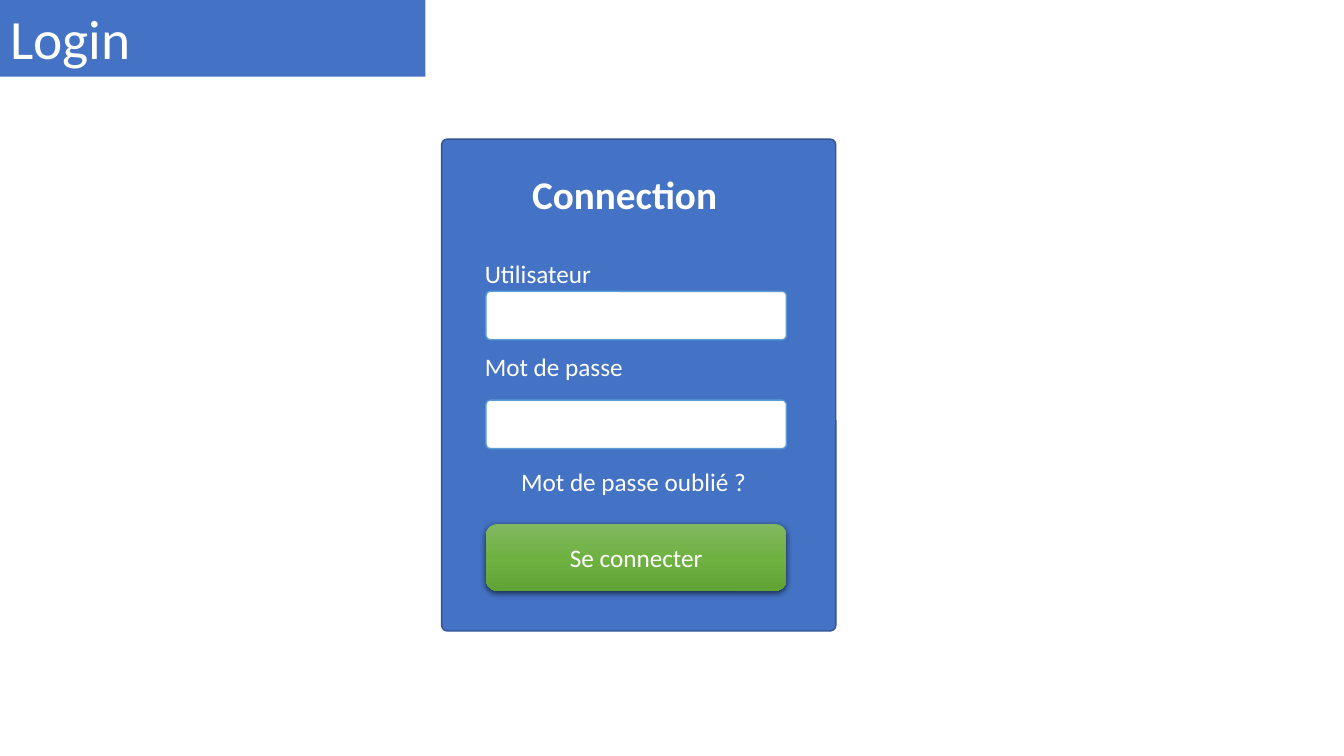
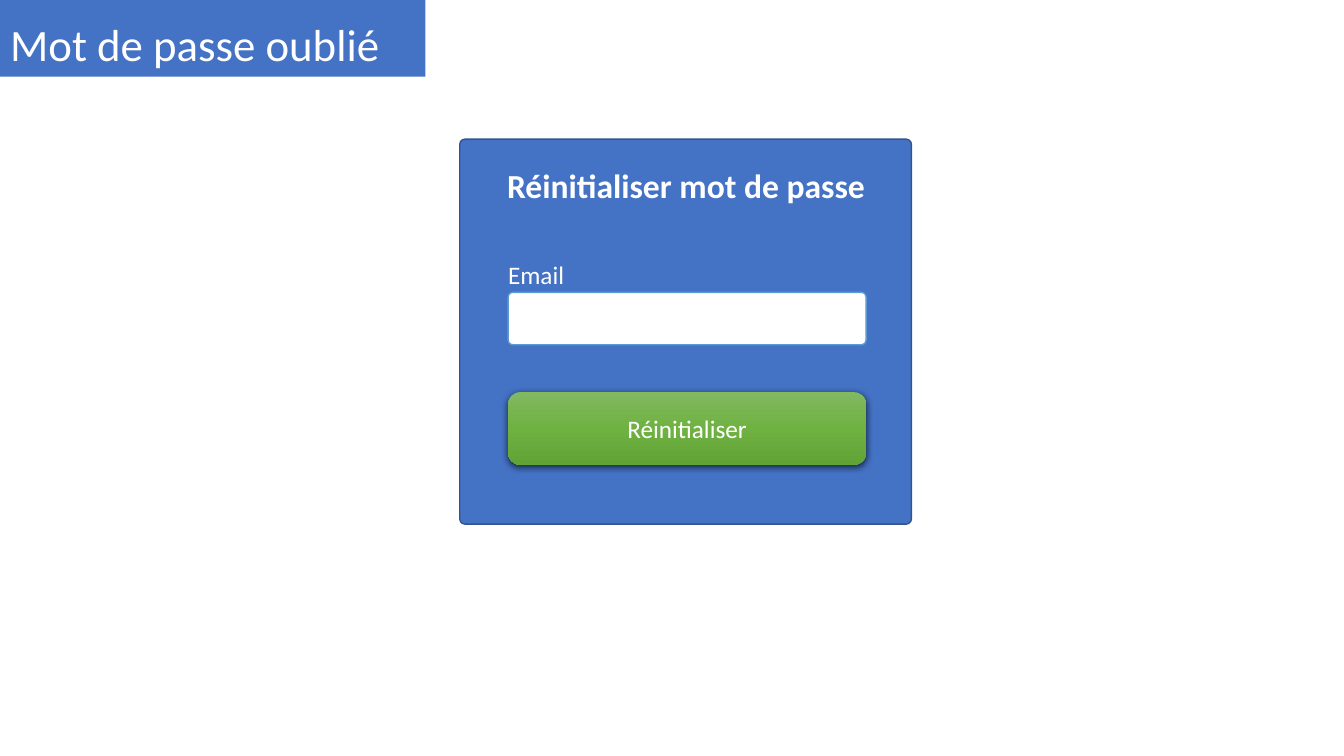
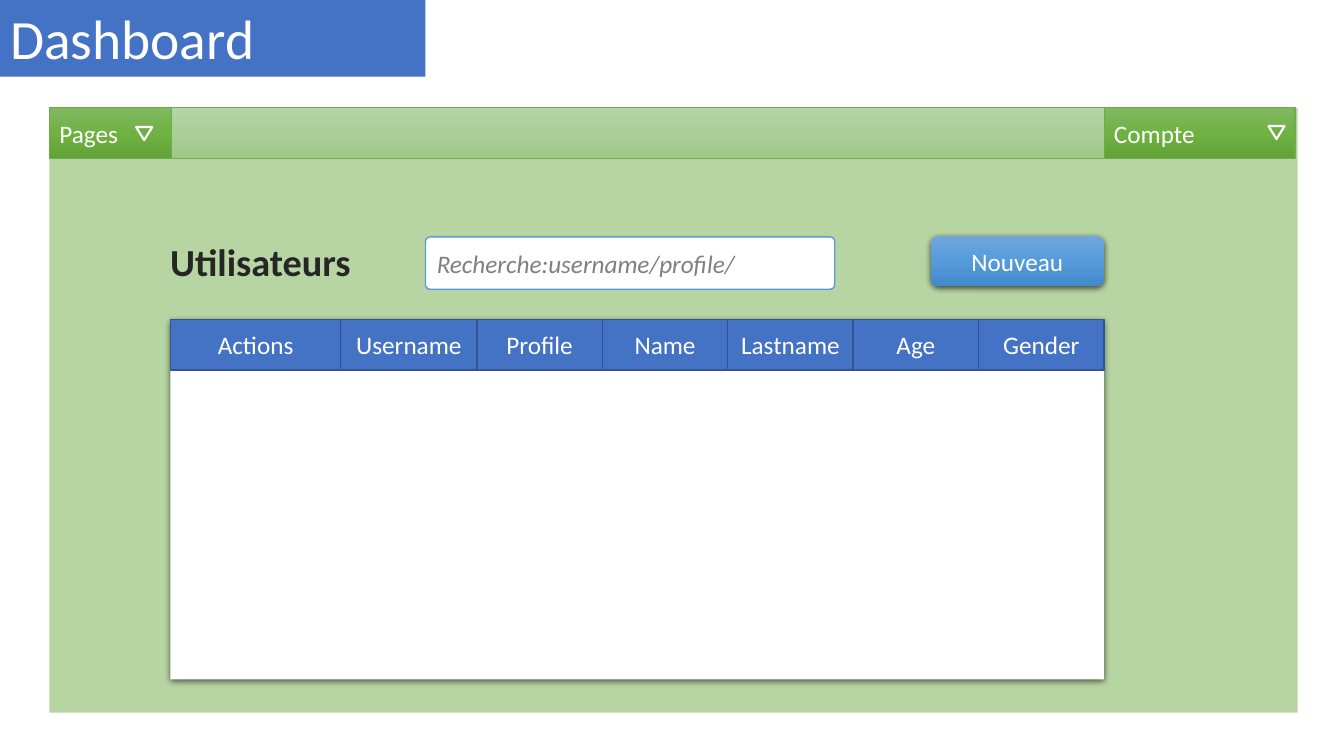
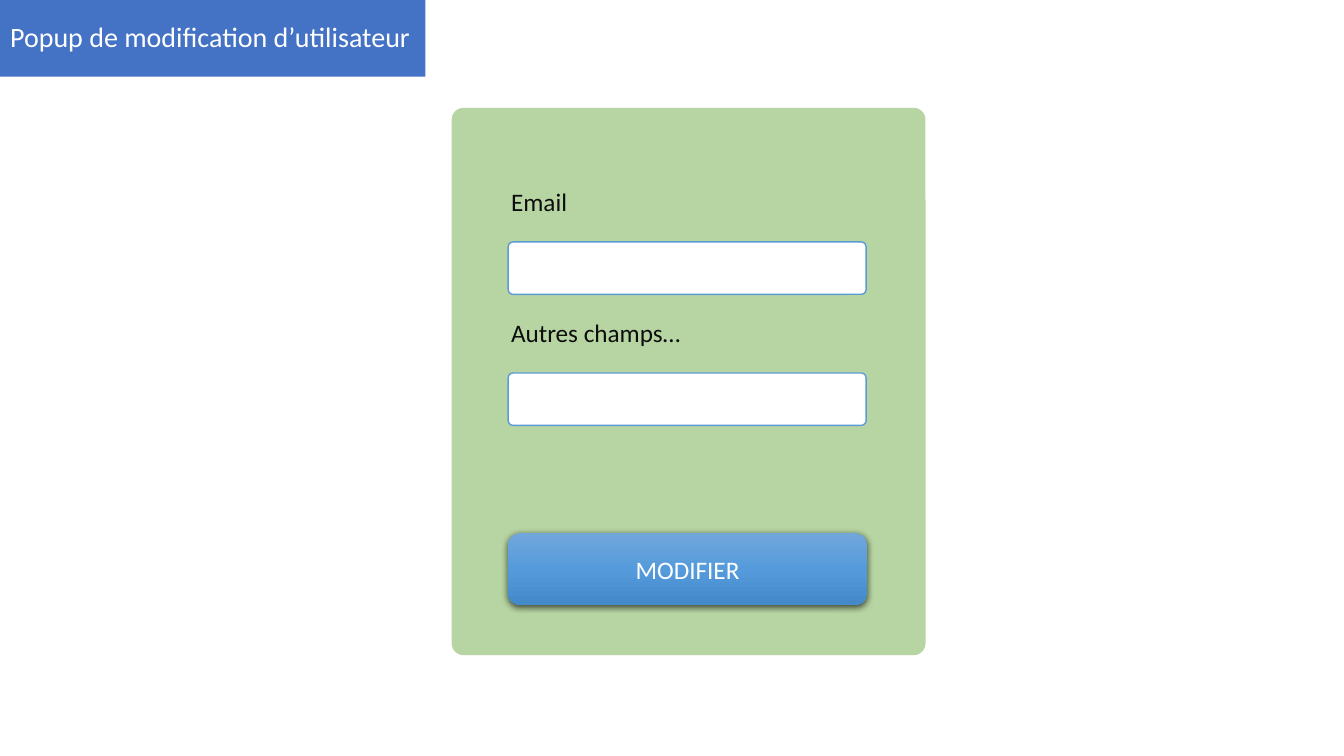
from copy import deepcopy

from lxml import etree
from pptx import Presentation
from pptx.dml.color import RGBColor
from pptx.enum.shapes import MSO_SHAPE
from pptx.enum.text import MSO_ANCHOR, MSO_AUTO_SIZE, PP_ALIGN
from pptx.oxml.ns import qn
from pptx.util import Inches, Pt

RECTANGLE = MSO_SHAPE.RECTANGLE
ROUNDED = MSO_SHAPE.ROUNDED_RECTANGLE
TRIANGLE = MSO_SHAPE.ISOSCELES_TRIANGLE
LEFT, CENTER = PP_ALIGN.LEFT, PP_ALIGN.CENTER
MIDDLE, BOTTOM, TOP = MSO_ANCHOR.MIDDLE, MSO_ANCHOR.BOTTOM, MSO_ANCHOR.TOP
NO_AUTOFIT, GROW = MSO_AUTO_SIZE.NONE, MSO_AUTO_SIZE.SHAPE_TO_FIT_TEXT

TITLE_ONLY_LAYOUT = 5
FONT = "Calibri"
COLORS = {
    "white": "FFFFFF",
    "black": "000000",
    "blue": "4472C4",
    "blue_edge": "325491",
    "field_edge": "5B9BD5",
    "green": "70AD47",
    "heading": "262626",
    "label": "0D0D0D",
    "hint": "808080",
}
GRADIENTS = {
    "green": ("81B861", "6FB242", "62A336"),
    "pale_green": ("B5D5A7", "AACE9A", "9CC987"),
    "blue": ("71A6DB", "559BDB", "448ACA"),
}


def color(name):
    return RGBColor.from_string(COLORS[name])


class Mockup:
    """Holds the style and the slide being drawn."""

    def __init__(self):
        self.presentation = Presentation()
        self.presentation.slide_width = Inches(13.33)
        self.presentation.slide_height = Inches(7.5)
        self.slide = None

    def new_slide(self, title, size, anchor=BOTTOM):
        layout = self.presentation.slide_layouts[TITLE_ONLY_LAYOUT]
        self.slide = self.presentation.slides.add_slide(layout)
        shape = self.slide.shapes.title
        shape.left, shape.top = Inches(0), Inches(0)
        shape.width, shape.height = Inches(4.22), Inches(0.76)
        shape.fill.solid()
        shape.fill.fore_color.rgb = color("blue")
        self.set_text(shape, title, size, anchor=anchor, spacing=0.9)

    def set_text(self, shape, text, size=18, ink="white", bold=False, italic=False,
                 align=LEFT, anchor=MIDDLE, spacing=None, wrap=True, fit=NO_AUTOFIT):
        frame = shape.text_frame
        frame.text = text
        frame.word_wrap = wrap
        frame.auto_size = fit
        frame.vertical_anchor = anchor
        paragraph = frame.paragraphs[0]
        paragraph.alignment = align
        paragraph.line_spacing = spacing
        font = paragraph.runs[0].font
        font.name, font.size = FONT, Pt(size)
        font.bold, font.italic = bold, italic
        font.color.rgb = color(ink)

    def box(self, left, top, width, height, kind=RECTANGLE, fill="white",
            gradient=None, line=None, line_width=1, radius=None):
        shape = self.slide.shapes.add_shape(
            kind, Inches(left), Inches(top), Inches(width), Inches(height))
        shape.shadow.inherit = False
        if radius is not None:
            shape.adjustments[0] = radius
        if gradient:
            self.shade(shape, GRADIENTS[gradient])
        else:
            shape.fill.solid()
            shape.fill.fore_color.rgb = color(fill)
        if line:
            shape.line.color.rgb = color(line)
            shape.line.width = Pt(line_width)
        else:
            shape.line.fill.background()
        return shape

    def shade(self, shape, stops):
        """Vertical gradient with evenly spaced stops."""
        shape.fill.gradient()
        shape.fill.gradient_angle = 270
        stop_list = shape.element.spPr.find(".//" + qn("a:gsLst"))
        stop_list.append(deepcopy(stop_list[0]))
        for index, (stop, value) in enumerate(zip(shape.fill.gradient_stops, stops)):
            stop.position = index / (len(stops) - 1)
            stop.color.rgb = RGBColor.from_string(value)

    def cast_shadow(self, shape):
        effects = shape.element.spPr.find(qn("a:effectLst"))
        shadow = etree.SubElement(
            effects, qn("a:outerShdw"), blurRad=str(Pt(4.5)), dist=str(Pt(1.5)),
            dir="5400000", algn="ctr", rotWithShape="0")
        tint = etree.SubElement(shadow, qn("a:srgbClr"), val=COLORS["black"])
        etree.SubElement(tint, qn("a:alpha"), val="63000")

    def card(self, left, top, width, height):
        self.box(left, top, width, height, ROUNDED, "blue", line="blue_edge", radius=0.014)

    def glass(self, left, top, width, height, radius):
        """Half-transparent green panel."""
        shape = self.box(left, top, width, height, ROUNDED, "green", radius=radius)
        tint = shape.element.spPr.find(qn("a:solidFill"))[0]
        etree.SubElement(tint, qn("a:alpha"), val="50000")

    def label(self, left, top, width, height, text, anchor=TOP, fit=GROW, **style):
        shape = self.slide.shapes.add_textbox(
            Inches(left), Inches(top), Inches(width), Inches(height))
        self.set_text(shape, text, anchor=anchor, fit=fit, **style)

    def field(self, left, top, width, height=0.52, hint=None):
        shape = self.box(left, top, width, height, ROUNDED, line="field_edge", radius=0.091)
        if hint:
            self.set_text(shape, hint, ink="hint", italic=True)

    def button(self, left, top, width, height, text, gradient):
        shape = self.box(left, top, width, height, ROUNDED, gradient=gradient)
        self.cast_shadow(shape)
        self.set_text(shape, text, align=CENTER)

    def menu(self, left, width, text, arrow_left, arrow_top):
        shape = self.box(left, 1.07, width, 0.5, gradient="green", line="green", line_width=0.5)
        self.set_text(shape, text)
        arrow = self.box(arrow_left, arrow_top, 0.16, 0.13, TRIANGLE, "green",
                         line="white", line_width=1.5)
        arrow.rotation = 180

    def header_row(self, left, top, height, columns):
        for text, width in columns:
            shape = self.box(left, top, width, height, fill="blue", line="blue_edge")
            self.set_text(shape, text, align=CENTER)
            left += width


def login(mockup):
    mockup.new_slide("Login", 39.6)
    mockup.card(4.38, 1.38, 3.91, 4.88)
    mockup.label(5.18, 1.64, 2.06, 0.57, "Connection", size=28, bold=True, wrap=False)
    for text, label_top, field_top in (("Utilisateur", 2.51, 2.89),
                                       ("Mot de passe", 3.44, 3.97)):
        mockup.label(4.71, label_top, 2.89, 0.4, text)
        mockup.field(4.82, field_top, 2.98, 0.48)
    mockup.label(5.07, 4.58, 2.46, 0.4, "Mot de passe oublié ?", wrap=False)
    mockup.button(4.82, 5.2, 2.98, 0.66, "Se connecter", "green")


def forgotten_password(mockup):
    mockup.new_slide("Mot de passe oublié", 32)
    mockup.card(4.56, 1.38, 4.48, 3.82)
    mockup.label(4.71, 1.59, 4.19, 0.5, "Réinitialiser mot de passe",
                 size=24, bold=True, align=CENTER)
    mockup.label(4.94, 2.52, 3.45, 0.4, "Email")
    mockup.field(5.04, 2.9, 3.55)
    mockup.button(5.04, 3.89, 3.55, 0.72, "Réinitialiser", "green")


def dashboard(mockup):
    mockup.new_slide("Dashboard", 39.6)

    # Page background and menu bar
    mockup.glass(0.49, 1.07, 12.38, 6, radius=0)
    mockup.box(0.49, 1.07, 12.36, 0.5, gradient="pale_green", line="green", line_width=0.5)
    mockup.menu(0.49, 1.21, "Pages", 1.35, 1.26)
    mockup.menu(10.95, 1.89, "Compte", 12.58, 1.25)

    # Heading, search and new button
    mockup.label(1.59, 2.37, 3.57, 0.5, "Utilisateurs", anchor=BOTTOM, fit=NO_AUTOFIT,
                 size=27.3, ink="heading", bold=True, spacing=0.8)
    mockup.field(4.22, 2.35, 4.06, hint="Recherche:username/profile/")
    mockup.button(9.23, 2.34, 1.72, 0.5, "Nouveau", "blue")

    # User list: the last five columns share the remaining width
    left, top, width = 1.69, 3.17, 9.26
    mockup.cast_shadow(mockup.box(left, top, width, 3.57))
    wide = [("Actions", 1.69), ("Username", 1.35)]
    others = ("Profile", "Name", "Lastname", "Age", "Gender")
    share = (width - sum(size for _, size in wide)) / len(others)
    mockup.header_row(left, top, 0.5, wide + [(text, share) for text in others])


def edit_popup(mockup):
    mockup.new_slide("Popup de modification d’utilisateur", 20, anchor=MIDDLE)
    mockup.glass(4.48, 1.07, 4.7, 5.43, radius=0.025)
    for index, text in enumerate(("Email", "Autres champs…")):
        top = 1.8 + 1.3 * index
        mockup.label(4.97, top, 3.45, 0.4, text, ink="label")
        mockup.field(5.04, top + 0.6, 3.55)
    mockup.button(5.04, 5.29, 3.56, 0.71, "MODIFIER", "blue")


def main():
    mockup = Mockup()
    for draw in (login, forgotten_password, dashboard, edit_popup):
        draw(mockup)
    mockup.presentation.save("out.pptx")


if __name__ == "__main__":
    main()
